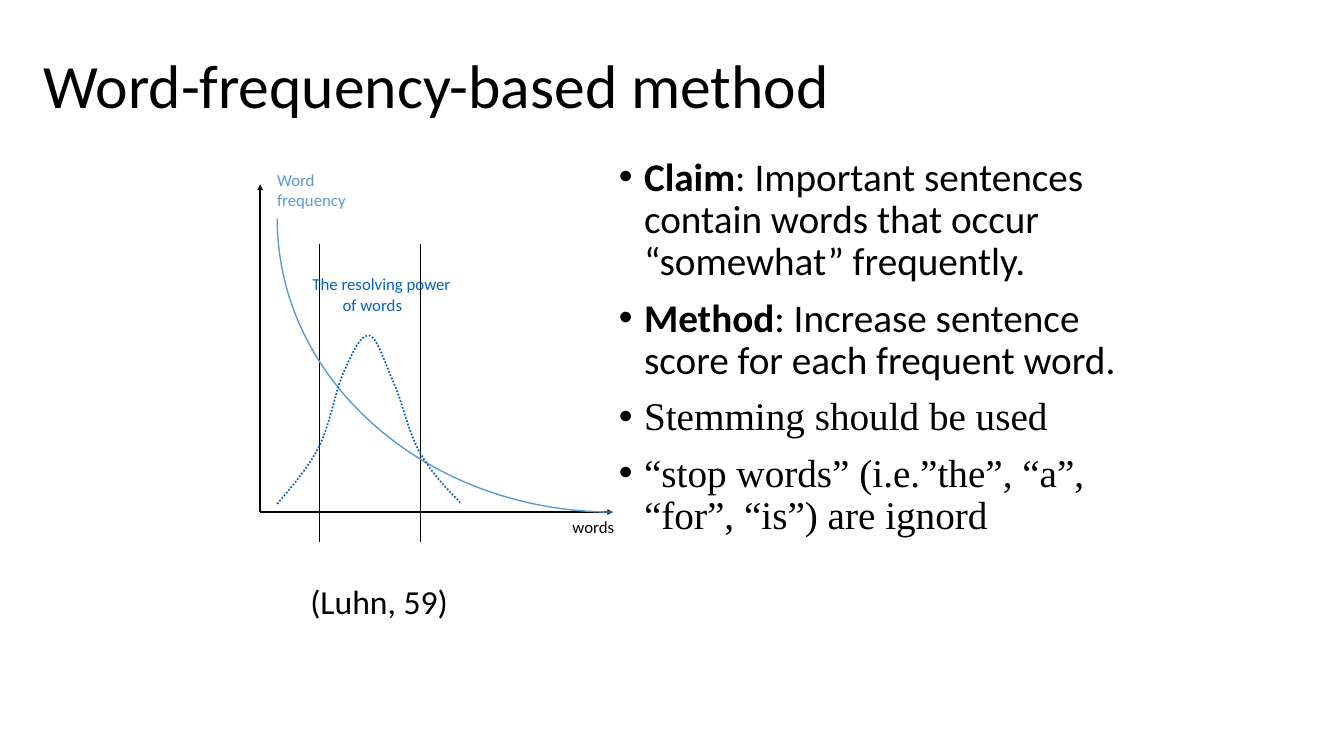
from lxml import etree
from pptx import Presentation
from pptx import util as u
from pptx.dml.color import RGBColor
from pptx.enum import dml, shapes, text
from pptx.oxml import ns

BLACK, LIGHT_BLUE, BLUE = "000000", "5B9BD5", "0563C1"


def add_run(paragraph, words, size=12, color=BLACK, font="Calibri", bold=False):
    run = paragraph.add_run()
    run.text = words
    run.font.size = u.Pt(size)
    run.font.name = font
    run.font.bold = bold
    run.font.color.rgb = RGBColor.from_string(color)


def add_curve(start, points, color, width):
    """Draw a smooth curve; every three points are two controls and an end."""
    builder = slide.shapes.build_freeform(u.Inches(start[0]), u.Inches(start[1]))
    builder.add_line_segments([(u.Inches(x), u.Inches(y)) for x, y in points], close=False)
    curve = builder.convert_to_shape()
    # Join each three straight steps into one cubic segment
    steps = list(curve._element.iter(ns.qn("a:lnTo")))
    for first in range(0, len(steps), 3):
        cubic = etree.Element(ns.qn("a:cubicBezTo"))
        steps[first].addprevious(cubic)
        for step in steps[first:first + 3]:
            cubic.append(step[0])
            step.getparent().remove(step)
    curve.shadow.inherit = False
    curve.fill.background()
    curve.line.color.rgb = RGBColor.from_string(color)
    curve.line.width = u.Pt(width)
    return curve


presentation = Presentation()
presentation.slide_width = u.Inches(13.33)
presentation.slide_height = u.Inches(7.5)
slide = presentation.slides.add_slide(presentation.slide_layouts[5])

# Title
title = slide.shapes.title
title.left, title.top = u.Inches(0.33), u.Inches(0.42)
title.width, title.height = u.Inches(12.33), u.Inches(0.92)
title.text_frame.auto_size = text.MSO_AUTO_SIZE.NONE
title.text_frame.vertical_anchor = text.MSO_ANCHOR.MIDDLE
heading = title.text_frame.paragraphs[0]
heading.alignment = text.PP_ALIGN.LEFT
heading.line_spacing = 0.9
add_run(heading, "Word-frequency-based method", size=44)

# Bulleted points: lead word, rest, font
points = [
    ("Claim", ": Important sentences contain words that occur “somewhat” frequently.", "Calibri"),
    ("Method", ": Increase sentence score for each frequent word.", "Calibri"),
    ("", "Stemming should be used", "Times New Roman"),
    ("", "“stop words” (i.e.”the”, “a”, “for”, “is”) are ignord", "Times New Roman"),
]
body = slide.shapes.add_textbox(u.Inches(6.04), u.Inches(1.51), u.Inches(5.14), u.Inches(5.03))
body.text_frame.word_wrap = True
for index, (lead, rest, font) in enumerate(points):
    paragraph = body.text_frame.add_paragraph() if index else body.text_frame.paragraphs[0]
    properties = paragraph._p.get_or_add_pPr()
    properties.set("marL", str(u.Inches(0.25)))
    properties.set("indent", str(-u.Inches(0.25)))
    etree.SubElement(properties, ns.qn("a:buFont")).set("typeface", "Arial")
    etree.SubElement(properties, ns.qn("a:buChar")).set("char", "•")
    paragraph.line_spacing = 0.9
    if index:
        paragraph.space_before = u.Pt(10)
    if lead:
        add_run(paragraph, lead, size=28, font=font, bold=True)
    add_run(paragraph, rest, size=28, font=font)

# Axes with arrowheads, and the two cut-off lines
lines = [
    (2.58, 5.08, 6.08, 5.08, True),
    (2.58, 5.08, 2.58, 1.83, True),
    (3.17, 5.38, 3.17, 2.42, False),
    (4.17, 5.38, 4.17, 2.42, False),
]
for *ends, has_arrow in lines:
    line = slide.shapes.add_connector(
        shapes.MSO_CONNECTOR.STRAIGHT, *(u.Inches(value) for value in ends))
    line.line.color.rgb = RGBColor.from_string(BLACK)
    line.line.width = u.Pt(1)
    if has_arrow:
        arrowhead = etree.SubElement(line.line._get_or_add_ln(), ns.qn("a:tailEnd"))
        arrowhead.set("type", "triangle")
        arrowhead.set("w", "sm")
        arrowhead.set("len", "sm")
    etree.SubElement(line._element.spPr, ns.qn("a:effectLst"))

# Word frequency and resolving power curves
add_curve((6.08, 5.08), [(4.24, 5.08), (2.75, 3.78), (2.75, 2.17)], LIGHT_BLUE, 1)
power_curve = add_curve((2.75, 5), [
    (2.9, 4.82), (3.06, 4.64), (3.17, 4.42),
    (3.28, 4.19), (3.33, 3.85), (3.42, 3.67),
    (3.5, 3.49), (3.58, 3.31), (3.67, 3.33),
    (3.75, 3.36), (3.83, 3.64), (3.92, 3.83),
    (4, 4.03), (4.06, 4.31), (4.17, 4.5),
    (4.28, 4.69), (4.43, 4.85), (4.58, 5),
], BLUE, 1.25)
power_curve.line.dash_style = dml.MSO_LINE.ROUND_DOT

# Labels: place, rows of (text, indent), size, colour, wrap
labels = [
    ((5.58, 5.08, 0.67, 0.3), [("words", 0)], 12, BLACK, True),
    ((2.65, 1.63, 1.1, 0.5), [("Word", 0), ("frequency", 0)], 12, LIGHT_BLUE, True),
    ((3, 2.67, 1.62, 0.5), [("The resolving power", 0), ("of words", 0.3)], 12, BLUE, True),
    ((2.98, 5.71, 1.63, 0.5), [("(Luhn, 59)", 0)], 24, BLACK, False),
]
for place, rows, size, color, wrap in labels:
    label = slide.shapes.add_textbox(*(u.Inches(value) for value in place))
    label.text_frame.word_wrap = wrap
    label.text_frame.auto_size = text.MSO_AUTO_SIZE.SHAPE_TO_FIT_TEXT
    for index, (words, indent) in enumerate(rows):
        paragraph = label.text_frame.add_paragraph() if index else label.text_frame.paragraphs[0]
        if indent:
            paragraph._p.get_or_add_pPr().set("marL", str(u.Inches(indent)))
        add_run(paragraph, words, size=size, color=color)

presentation.save("out.pptx")
